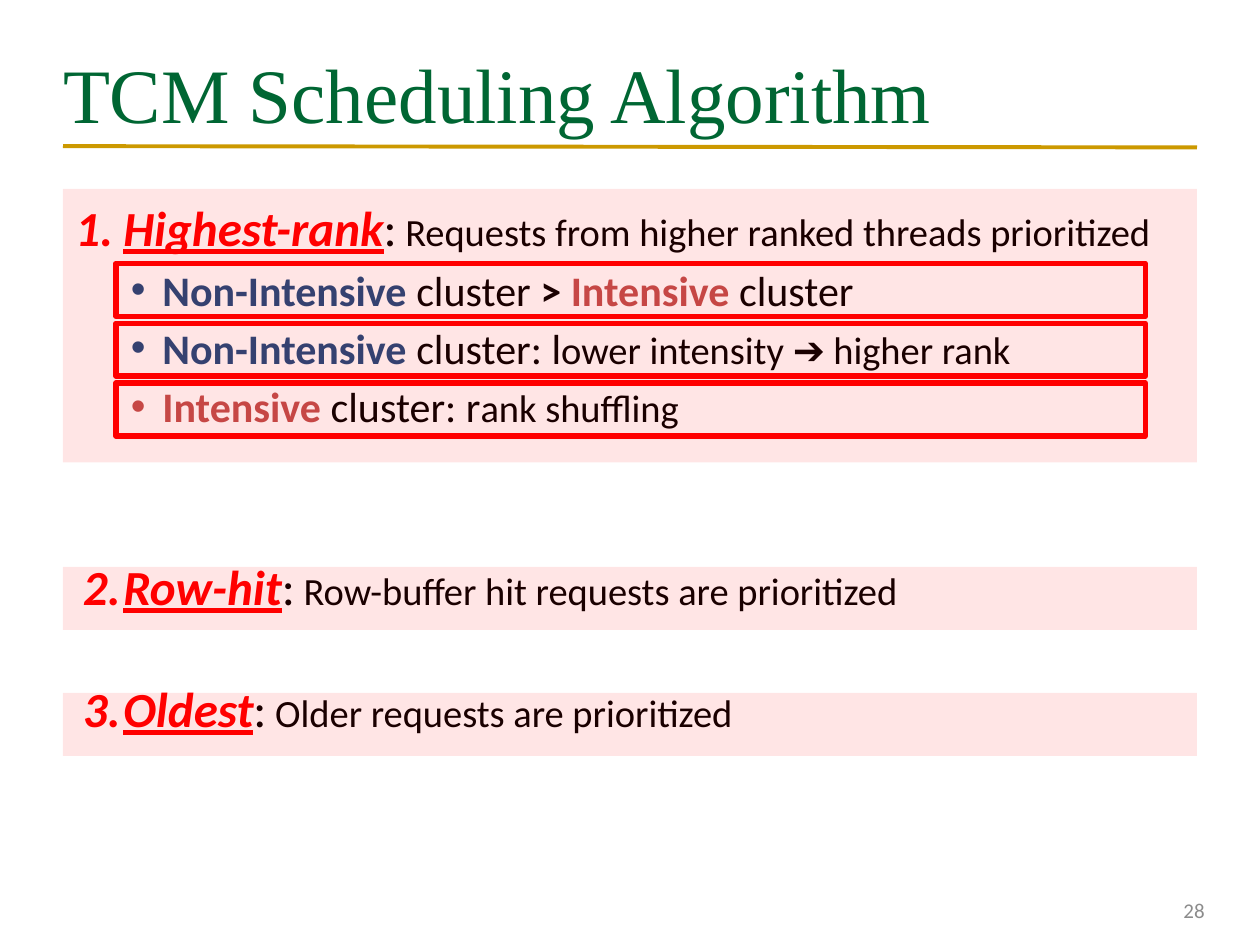
from dataclasses import dataclass

from lxml import etree
from pptx import Presentation
from pptx.dml.color import RGBColor
from pptx.enum.shapes import MSO_CONNECTOR, MSO_SHAPE
from pptx.enum.text import MSO_ANCHOR, PP_ALIGN
from pptx.oxml.ns import qn
from pptx.util import Inches, Pt


@dataclass(frozen=True)
class Theme:
    """Colours, fonts and type sizes of the slide."""
    green: str = "006633"
    gold: str = "CC9900"
    red: str = "FF0000"
    black: str = "000000"
    blue: str = "1F497D"
    brick: str = "C0504D"
    grey: str = "8C8C8C"
    title_font: str = "Times New Roman"
    body_font: str = "Calibri"
    title_size: float = 44
    rule_size: float = 28
    cluster_size: float = 24
    detail_size: float = 22
    number_size: float = 12


THEME = Theme()
NON_INTENSIVE = ("Non-Intensive", THEME.blue, True, THEME.cluster_size)
INTENSIVE = ("Intensive", THEME.brick, True, THEME.cluster_size)


def plain(text, size=THEME.cluster_size, bold=False):
    """Return a black run."""
    return text, THEME.black, bold, size


CLUSTERS = [
    [NON_INTENSIVE, plain(" cluster "), plain("> ", bold=True), INTENSIVE,
     plain(" cluster")],
    [NON_INTENSIVE, plain(" cluster: l"),
     plain("ower intensity ➔ higher rank", THEME.detail_size)],
    [INTENSIVE, plain(" cluster: r"),
     plain("ank shuffling", THEME.detail_size)],
]
RULES = [
    ("Highest-rank", "Requests from higher ranked threads prioritized", 0, -0.38, CLUSTERS),
    ("Row-hit", "Row-buffer hit requests are prioritized", 72, -0.32, []),
    ("Oldest", "Older requests are prioritized", 36, -0.32, []),
]


def style_run(run, size, color, bold=False, font=THEME.body_font):
    """Format one run."""
    run.font.name = font
    run.font.size = Pt(size)
    run.font.bold = bold
    run.font.color.rgb = RGBColor.from_string(color)


def add_run(paragraph, text, color, bold, size):
    """Append a formatted run and return it."""
    run = paragraph.add_run()
    run.text = text
    style_run(run, size, color, bold)
    return run


def set_marker(paragraph, margin, indent, tag, **attributes):
    """Give a paragraph a hanging bullet or number."""
    properties = paragraph._p.get_or_add_pPr()
    properties.set("marL", str(Inches(margin)))
    properties.set("indent", str(Inches(indent)))
    if tag == "a:buChar":
        etree.SubElement(properties, qn("a:buFont"), typeface="Arial")
    etree.SubElement(properties, qn(tag), **attributes)


def add_title(slide, left, top, width, height):
    """Place the title and the gold line under it."""
    title = slide.shapes.title
    title.left, title.top, title.width, title.height = map(
        Inches, (left, top, width, height))
    frame = title.text_frame
    frame.text = "TCM Scheduling Algorithm"
    frame.vertical_anchor = MSO_ANCHOR.MIDDLE
    frame.margin_left = frame.margin_right = 0
    frame.paragraphs[0].alignment = PP_ALIGN.LEFT
    style_run(frame.paragraphs[0].runs[0], THEME.title_size, THEME.green,
              font=THEME.title_font)
    bottom = top + height
    line = slide.shapes.add_connector(
        MSO_CONNECTOR.STRAIGHT, Inches(left), Inches(bottom - 0.01),
        Inches(left + width), Inches(bottom))
    line.line.color.rgb = RGBColor.from_string(THEME.gold)
    line.line.width = Pt(2.25)
    etree.SubElement(line._element.spPr, qn("a:effectLst"))


def add_rules(slide, left, top, width, height):
    """Write the numbered rules with their cluster bullets."""
    box = slide.shapes.add_textbox(*map(Inches, (left, top, width, height)))
    frame = box.text_frame
    frame.word_wrap = True
    for number, (name, detail, gap, indent, clusters) in enumerate(RULES, 1):
        paragraph = frame.paragraphs[0] if number == 1 else frame.add_paragraph()
        set_marker(paragraph, 0.38, indent, "a:buAutoNum",
                   type="arabicPeriod", startAt=str(number))
        paragraph.space_before = Pt(gap)
        heading = add_run(paragraph, name, THEME.red, True, THEME.rule_size)
        heading.font.italic = heading.font.underline = True
        add_run(paragraph, *plain(":", THEME.rule_size))
        add_run(paragraph, *plain(f" {detail}", THEME.detail_size))
        for cluster in clusters:
            paragraph = frame.add_paragraph()
            paragraph.level = 1
            set_marker(paragraph, 0.69, -0.25, "a:buChar", char="•")
            paragraph.space_before = Pt(4.4)
            for part in cluster:
                add_run(paragraph, *part)


def add_rectangle(slide, left, top, width, height):
    """Add a rectangle without shadow and return it."""
    shape = slide.shapes.add_shape(
        MSO_SHAPE.RECTANGLE, *map(Inches, (left, top, width, height)))
    shape.shadow.inherit = False
    return shape


def add_band(slide, left, top, width, height):
    """Tint a rule with translucent red."""
    band = add_rectangle(slide, left, top, width, height)
    band.fill.solid()
    band.fill.fore_color.rgb = RGBColor.from_string(THEME.red)
    color = band._element.spPr.find(f"{qn('a:solidFill')}/{qn('a:srgbClr')}")
    etree.SubElement(color, qn("a:alpha"), val="10000")
    band.line.fill.background()


def add_frame(slide, left, top, width, height):
    """Outline a cluster bullet in red."""
    frame = add_rectangle(slide, left, top, width, height)
    frame.fill.background()
    frame.line.color.rgb = RGBColor.from_string(THEME.red)
    frame.line.width = Pt(3)


def add_slide_number(slide, left, top, width, height):
    """Write the slide number at the right of its box."""
    box = slide.shapes.add_textbox(*map(Inches, (left, top, width, height)))
    frame = box.text_frame
    frame.word_wrap = True
    frame.vertical_anchor = MSO_ANCHOR.MIDDLE
    frame.text = "28"
    frame.paragraphs[0].alignment = PP_ALIGN.RIGHT
    style_run(frame.paragraphs[0].runs[0], THEME.number_size, THEME.grey)


def main():
    """Build and save the slide."""
    presentation = Presentation()
    presentation.slide_width, presentation.slide_height = Inches(10), Inches(7.5)
    slide = presentation.slides.add_slide(presentation.slide_layouts[5])
    left, width = 0.5, 9
    add_title(slide, left, 0.3, width, 0.87)
    add_rules(slide, left, 1.52, 9.25, 4.56)
    add_slide_number(slide, 7.33, 7.02, 2.33, 0.4)
    for top, height in ((1.5, 2.17), (4.5, 0.5), (5.5, 0.5)):
        add_band(slide, left, top, width, height)
    for row in range(len(CLUSTERS)):
        add_frame(slide, left + 0.42, 2.09 + 0.475 * row, 8.17, 0.42)
    presentation.save("out.pptx")


if __name__ == "__main__":
    main()
